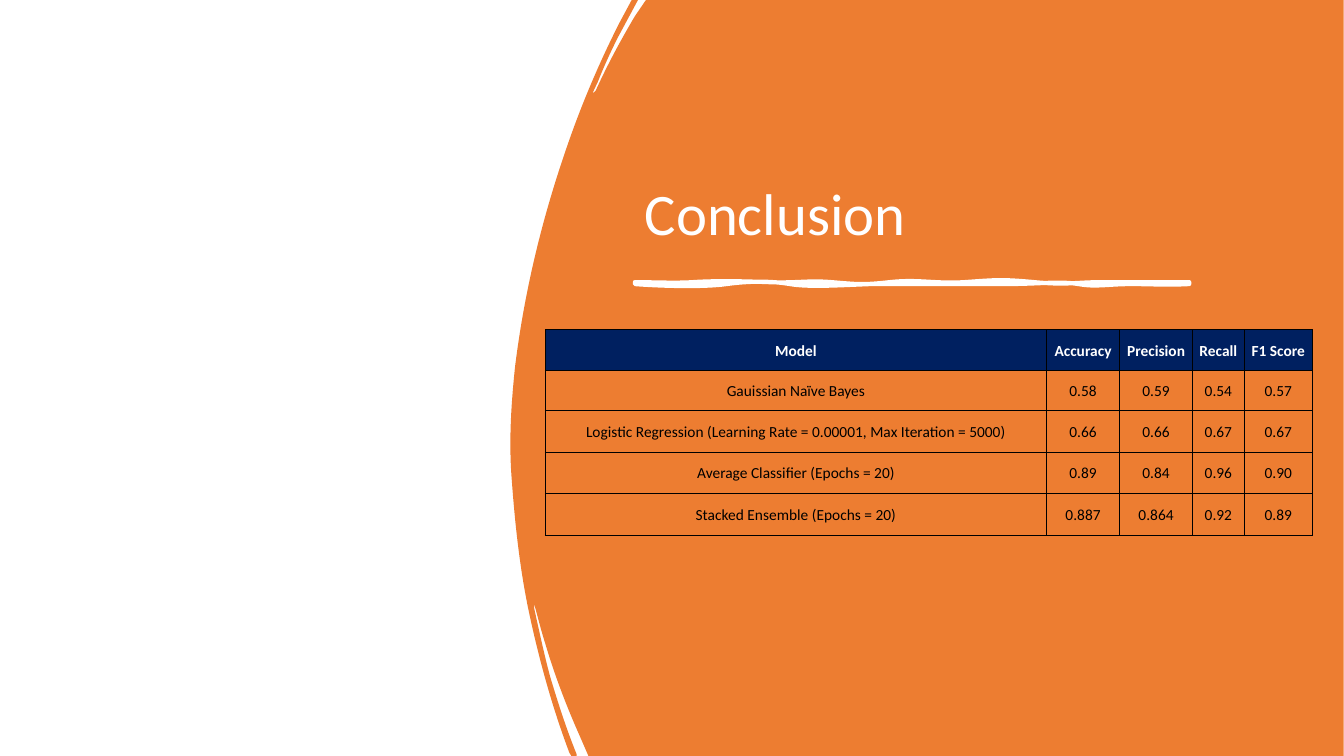
from lxml import etree
from pptx import Presentation, util as u
from pptx.dml.color import RGBColor
from pptx.enum import text
from pptx.oxml import ns

Cm, Pt = u.Cm, u.Pt

COLORS = {"orange": "ED7D31", "navy": "002060", "white": "FFFFFF", "black": "000000"}
FONT = "Calibri"

# Outlines in cm from the box corner: two numbers end a line, six a Bézier curve
PANEL_OUTLINE = [
    (21.01, 0), (3.43, 0), (3.15, 0.41),
    (2.79, 1.02, 2.46, 1.63, 2.16, 2.29),
    (2.13, 2.31, 2.11, 2.34, 2.08, 2.36),
    (2.11, 2.29, 2.16, 2.18, 2.21, 2.08),
    (2.36, 1.7, 2.54, 1.3, 2.74, 0.91),
    (3.23, 0), (3.07, 0), (2.77, 0.56),
    (2.24, 1.6, 1.78, 2.69, 1.4, 3.81),
    (0.79, 5.59, 0.36, 7.39, 0.13, 9.25),
    (0.03, 10.21, -0.03, 11.15, 0.05, 12.12),
    (0.13, 13.21, 0.25, 14.33, 0.48, 15.42),
    (0.74, 16.64, 1.07, 17.83, 1.5, 18.97),
    (1.55, 19.05), (1.68, 19.05), (1.68, 19),
    (1.42, 18.36, 1.22, 17.73, 1.02, 17.07),
    (0.86, 16.48, 0.74, 15.9, 0.61, 15.32),
    (0.61, 15.29, 0.61, 15.27, 0.61, 15.21),
    (0.71, 15.57, 0.79, 15.9, 0.89, 16.21),
    (1.12, 16.99, 1.42, 17.78, 1.75, 18.52),
    (1.98, 19.05), (21.01, 19.05),
]
BRUSH_OUTLINE = [
    (0, 0),
    (0.38, 0, 1.04, 0.03, 1.47, 0),
    (1.91, -0.03, 2.57, -0.03, 3.35, 0),
    (4.11, 0.03, 4.34, -0.05, 4.95, 0),
    (5.56, 0.05, 5.72, 0.08, 6.43, 0),
    (7.14, -0.08, 7.59, 0.05, 8.31, 0),
    (9.04, -0.05, 9.22, -0.08, 10.06, 0),
    (10.9, 0.08, 11.1, 0, 11.81, 0),
    (12.5, 0, 13.31, 0, 13.97, 0),
    (13.97, 0.03, 13.97, 0.03, 13.97, 0.05),
    (13.34, 0.08, 13.11, 0.05, 12.5, 0.05),
    (11.91, 0.05, 11.63, 0.13, 11.18, 0.05),
    (10.69, -0.03, 10.21, 0.05, 9.3, 0.05),
    (8.36, 0.05, 8.18, 0.05, 7.82, 0.05),
    (7.47, 0.05, 6.78, 0.05, 5.94, 0.05),
    (5.11, 0.08, 4.39, 0.13, 3.91, 0.05),
    (3.43, -0.03, 2.9, -0.03, 2.31, 0.05),
    (1.73, 0.13, 0.66, 0.1, 0, 0.05),
    (0, 0.03, 0, 0.03, 0, 0),
]

COLUMN_WIDTHS = [12.64, 1.83, 1.85, 1.29, 1.73]
ROW_HEIGHTS = [1.03, 1.01, 1.05, 1.03, 1.06]
RESULTS = [
    ("Model", "Accuracy", "Precision", "Recall", "F1 Score"),
    ("Gauissian Naïve Bayes", "0.58", "0.59", "0.54", "0.57"),
    ("Logistic Regression (Learning Rate = 0.00001, Max Iteration = 5000)",
     "0.66", "0.66", "0.67", "0.67"),
    ("Average Classifier (Epochs = 20)", "0.89", "0.84", "0.96", "0.90"),
    ("Stacked Ensemble (Epochs = 20)", "0.887", "0.864", "0.92", "0.89"),
]


def rgb(name):
    return RGBColor.from_string(COLORS[name])


def write(frame, words, size=11, color="black", bold=False, align=None, spacing=None):
    paragraph = frame.paragraphs[0]
    paragraph.alignment = align
    paragraph.line_spacing = spacing
    run = paragraph.add_run()
    run.text = words
    font = run.font
    font.name, font.size, font.bold = FONT, Pt(size), bold
    font.color.rgb = rgb(color)


def bend_curves(shape, outline):
    """Join the three line points of each curve into one Bézier segment."""
    lines = iter(list(shape._element.iter(ns.qn("a:lnTo"))))
    for segment in outline[1:]:
        group = [next(lines) for _ in range(len(segment) // 2)]
        if len(group) == 3:
            curve = etree.Element(ns.qn("a:cubicBezTo"))
            group[0].addprevious(curve)
            for line in group:
                curve.append(line[0])
                line.getparent().remove(line)


def add_outline(slide, outline, left, top, color):
    points = [(Cm(left + x), Cm(top + y))
              for segment in outline for x, y in zip(segment[::2], segment[1::2])]
    builder = slide.shapes.build_freeform(*points[0])
    builder.add_line_segments(points[1:], close=True)
    shape = builder.convert_to_shape()
    bend_curves(shape, outline)
    shape.shadow.inherit = False
    shape.fill.solid()
    shape.fill.fore_color.rgb = rgb(color)
    shape.line.fill.background()
    return shape


def add_panel(slide, left, top):
    add_outline(slide, PANEL_OUTLINE, left, top, "orange")


def add_title(slide, left, top, width, height):
    box = slide.shapes.add_textbox(Cm(left), Cm(top), Cm(width), Cm(height))
    frame = box.text_frame
    frame.word_wrap = True
    frame.vertical_anchor = text.MSO_ANCHOR.BOTTOM
    write(frame, "Conclusion", size=42, color="white", spacing=0.9)

    # Brush stroke below the title
    stroke = add_outline(slide, BRUSH_OUTLINE, left, top + height + 0.74, "white")
    stroke.line.color.rgb = rgb("white")
    stroke.line.width = Pt(3)
    etree.SubElement(stroke.line._get_or_add_ln(), ns.qn("a:round"))


def add_borders(cell, color, width):
    properties = cell._tc.get_or_add_tcPr()
    for position, side in enumerate(("lnL", "lnR", "lnT", "lnB")):
        line = etree.Element(ns.qn("a:" + side), w=str(Pt(width)))
        fill = etree.SubElement(line, ns.qn("a:solidFill"))
        etree.SubElement(fill, ns.qn("a:srgbClr"), val=COLORS[color])
        properties.insert(position, line)


def add_results(slide, left, top):
    table = slide.shapes.add_table(
        len(RESULTS), len(COLUMN_WIDTHS), Cm(left), Cm(top),
        Cm(sum(COLUMN_WIDTHS)), Cm(sum(ROW_HEIGHTS))).table
    table.horz_banding = False
    for column, width in zip(table.columns, COLUMN_WIDTHS):
        column.width = Cm(width)
    for row_index, values in enumerate(RESULTS):
        header = row_index == 0
        table.rows[row_index].height = Cm(ROW_HEIGHTS[row_index])
        for column_index, value in enumerate(values):
            cell = table.cell(row_index, column_index)
            cell.margin_left = cell.margin_right = cell.margin_top = Cm(0.03)
            cell.margin_bottom = 0
            cell.vertical_anchor = text.MSO_ANCHOR.MIDDLE
            if header:
                cell.fill.solid()
                cell.fill.fore_color.rgb = rgb("navy")
            else:
                cell.fill.background()
            write(cell.text_frame, value, color="white" if header else "black",
                  bold=header, align=text.PP_ALIGN.CENTER)
            add_borders(cell, "black", 0.5)


def main():
    presentation = Presentation()
    presentation.slide_width, presentation.slide_height = Cm(33.87), Cm(19.05)
    slide = presentation.slides.add_slide(presentation.slide_layouts[6])
    add_panel(slide, 12.85, 0)
    add_title(slide, 16, 1.27, 14.83, 5.1)
    add_results(slide, 13.74, 8.31)
    presentation.save("out.pptx")


if __name__ == "__main__":
    main()
